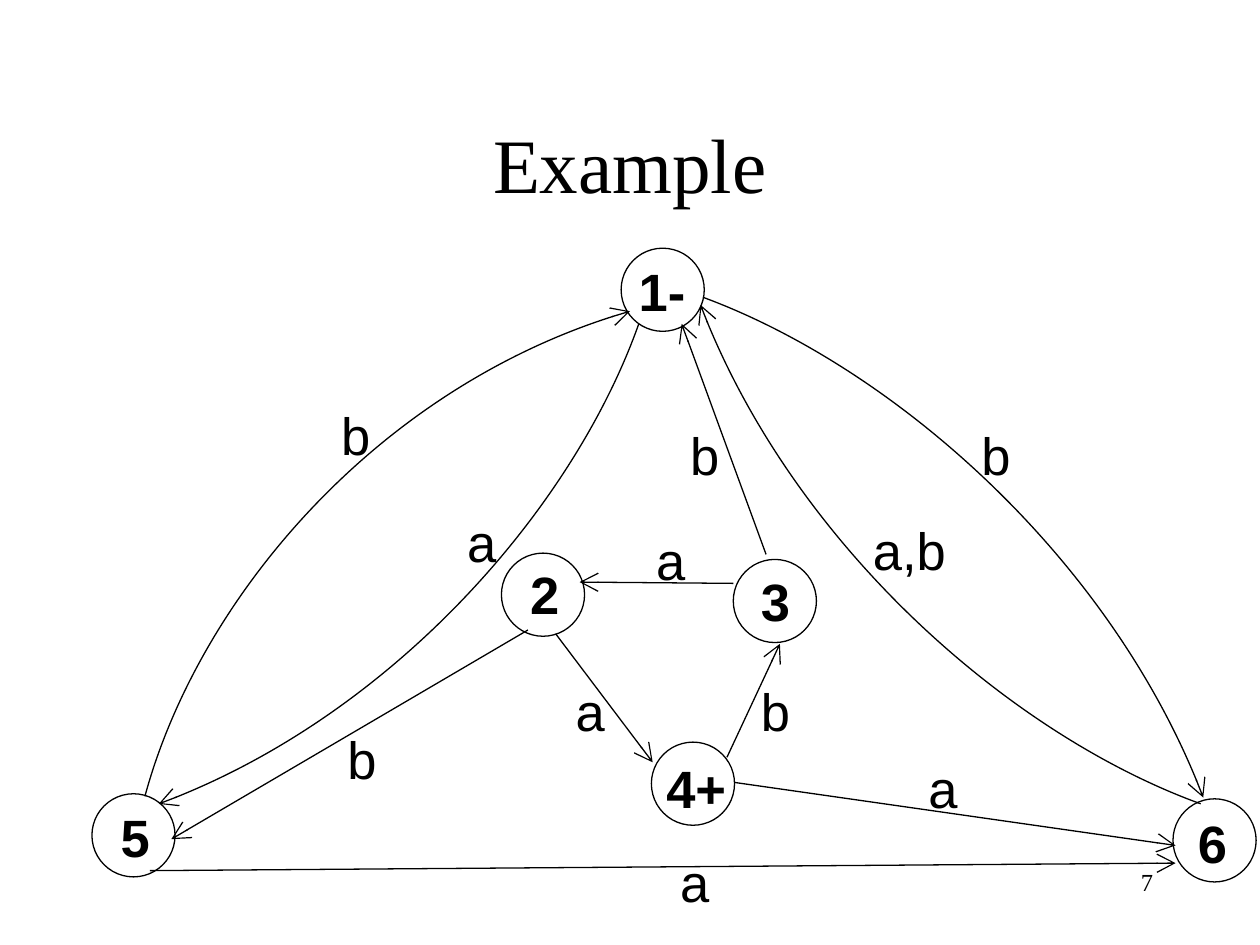
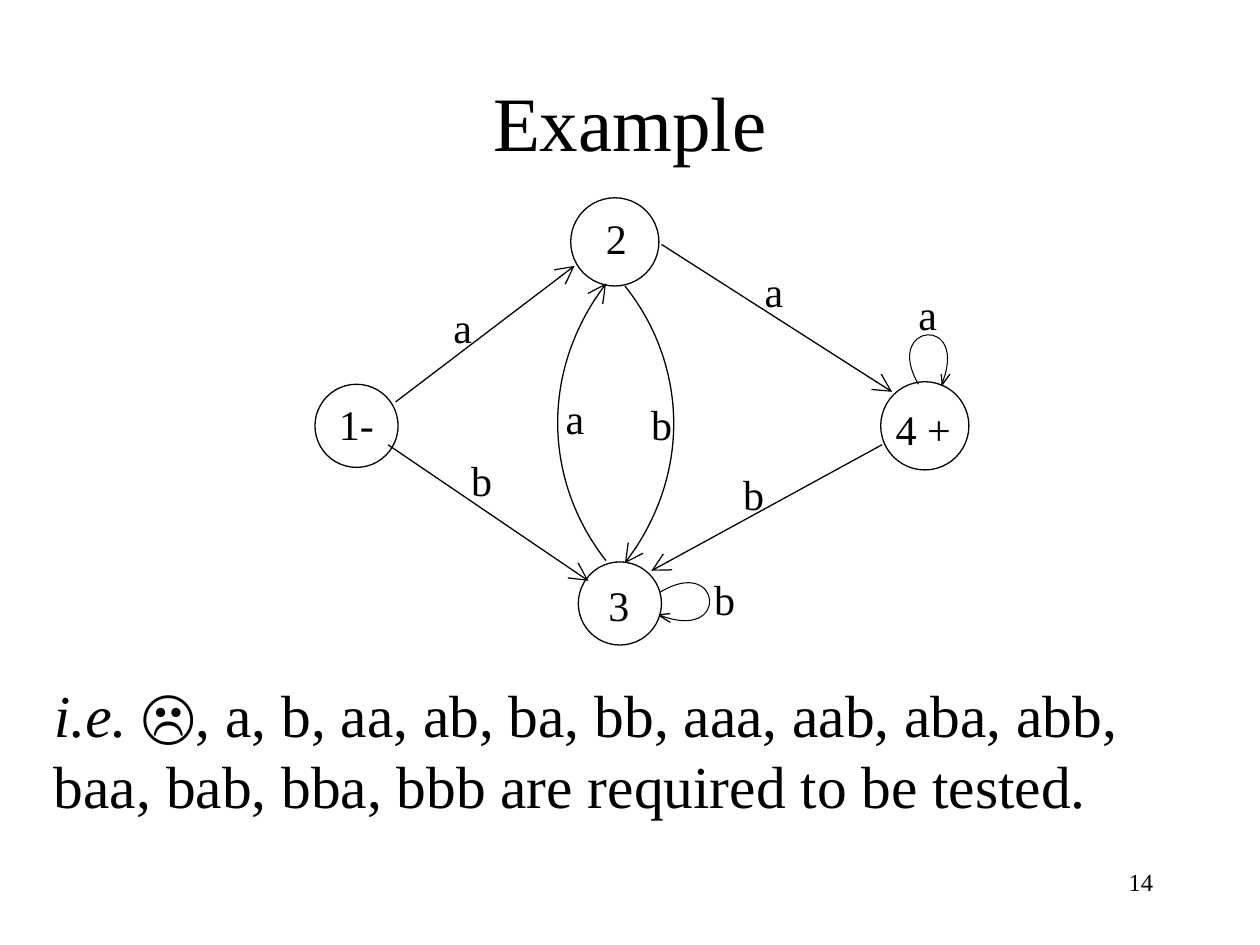
import dataclasses

import lxml.etree
import pptx
import pptx.dml.color
import pptx.enum.shapes
import pptx.enum.text
import pptx.oxml.ns
import pptx.util

Inches = pptx.util.Inches
Align = pptx.enum.text.PP_ALIGN
qn = pptx.oxml.ns.qn


@dataclasses.dataclass(frozen=True)
class Theme:
    ink: object = pptx.dml.color.RGBColor(0, 0, 0)
    paper: object = pptx.dml.color.RGBColor(255, 255, 255)
    serif: str = "Times New Roman"
    sans: str = "Arial"
    symbol: str = "Cambria"
    title: int = 44
    body: int = 34
    number: int = 14
    line: float = 0.75
    loop_line: float = 0.6


theme = Theme()


def write(frame, spans, size, align=Align.LEFT):
    """Fill the frame's first paragraph; each span is (text, font, bold, italic)."""
    para = frame.paragraphs[0]
    para.alignment = align
    for text, font, bold, italic in spans:
        span = para.add_run()
        span.text = text
        span.font.name = font
        span.font.size = pptx.util.Pt(size)
        span.font.bold = bold
        span.font.italic = italic
        span.font.color.rgb = theme.ink


def draw_edge(page, points, arrow=True, width=theme.line):
    """Two points give a straight line, four a cubic Bezier curve."""
    if len(points) == 2:
        (x1, y1), (x2, y2) = points
        edge = page.shapes.add_connector(
            pptx.enum.shapes.MSO_CONNECTOR.STRAIGHT,
            Inches(x1), Inches(y1), Inches(x2), Inches(y2))
    else:
        emu = [(Inches(x), Inches(y)) for x, y in points]
        builder = page.shapes.build_freeform(*emu[0])
        builder.add_line_segments(emu[1:], close=False)
        edge = builder.convert_to_shape()
        edge.fill.background()
        # Turn the three straight segments into one Bezier segment.
        outline = next(edge.element.iter(qn("a:path")))
        bezier = lxml.etree.SubElement(outline, qn("a:cubicBezTo"))
        for segment in outline.findall(qn("a:lnTo")):
            bezier.append(segment[0])
            outline.remove(segment)
    edge.line.color.rgb = theme.ink
    edge.line.width = pptx.util.Pt(width)
    properties = edge.element.spPr
    if arrow:
        lxml.etree.SubElement(properties.find(qn("a:ln")), qn("a:tailEnd"),
                              type="arrow", w="lg", len="lg")
    lxml.etree.SubElement(properties, qn("a:effectLst"))


# Nodes: left, top, diameter. Names and labels: text, left, top.
slides = [
    dict(
        title_top=0.67, number="7", font=theme.sans, size=30, bold=True,
        label_box=(1.17, 0.6),
        nodes=[(4.93, 1.97, 0.66), (3.98, 4.39, 0.66), (5.82, 4.44, 0.66),
               (5.17, 5.89, 0.66), (0.73, 6.3, 0.66), (9.31, 6.34, 0.66)],
        names=[("1-", 4.97, 2.01), ("2", 4.11, 4.41), ("3", 5.94, 4.47),
               ("4+", 5.19, 5.95), ("5", 0.86, 6.34), ("6", 9.41, 6.39)],
        edges=[[(5.82, 4.63), (4.6, 4.62)],
               [(4.41, 5.03), (5.18, 6.05)],
               [(5.77, 6.01), (6.19, 5.11)],
               [(5.83, 6.21), (9.33, 6.71)],
               [(1.19, 6.91), (9.33, 6.85)],
               [(6.08, 4.4), (5.41, 2.57)],
               [(5.07, 2.57), (4.56, 4.01), (3.1, 5.7), (1.26, 6.38)],
               [(1.15, 6.32), (1.57, 4.77), (3.02, 3.04), (5, 2.47)],
               [(9.53, 6.38), (8.04, 5.84), (6.28, 4.31), (5.56, 2.42)],
               [(5.58, 2.36), (7.07, 2.91), (8.83, 4.44), (9.55, 6.33)],
               [(4.19, 5), (1.36, 6.66)]],
        loops=[], loop_heads=[],
        labels=[("a", 5.3, 6.7), ("a", 3.61, 4), ("a", 5.11, 4.14),
                ("a", 4.47, 5.34), ("a", 7.27, 5.95), ("b", 2.61, 3.15),
                ("b", 5.38, 3.31), ("b", 7.69, 3.31), ("b", 5.94, 5.34),
                ("a,b", 6.83, 4.06), ("b", 2.66, 5.72)],
        body=[],
    ),
    dict(
        title_top=0.33, number="14", font=theme.serif, size=24, bold=False,
        label_box=(0.78, 0.5),
        nodes=[(2.5, 3.05, 0.66), (4.53, 1.57, 0.7),
               (4.59, 4.46, 0.66), (6.99, 3.03, 0.7)],
        names=[("1-", 2.59, 3.11), ("2", 4.71, 1.64),
               ("3", 4.73, 4.55), ("4 +", 7.01, 3.15)],
        edges=[[(5.25, 1.94), (7.08, 3.11)],
               [(3.14, 3.19), (4.56, 2.11)],
               [(3.08, 3.53), (4.67, 4.61)],
               [(7, 3.53), (5.17, 4.53)],
               [(4.81, 4.45), (4.36, 3.88), (4.26, 2.97), (4.81, 2.25)],
               [(4.96, 2.27), (5.41, 2.83), (5.52, 3.74), (4.96, 4.47)]],
        loops=[[(5.24, 4.7), (5.73, 4.4), (5.8, 5.11), (5.23, 4.88)],
               [(7.29, 3.05), (7, 2.56), (7.71, 2.49), (7.47, 3.06)]],
        loop_heads=[[(5.24, 4.89), (5.32, 4.94)], [(5.32, 4.87), (5.23, 4.88)],
                    [(7.48, 3.05), (7.54, 2.97)], [(7.47, 2.97), (7.48, 3.06)]],
        labels=[("a", 4.39, 3.07), ("a", 5.97, 2.06), ("a", 7.19, 2.24),
                ("b", 3.64, 3.56), ("a", 3.5, 2.34), ("b", 5.07, 3.11),
                ("b", 5.57, 4.5), ("b", 5.8, 3.67)],
        body=[("i.e. ", theme.serif, False, True),
              ("☹", theme.symbol, False, False),
              (", a, b, aa, ab, ba, bb, aaa, aab, aba, abb, baa, bab, bba, bbb "
               "are required to be tested.", theme.serif, False, False)],
    ),
]

deck = pptx.Presentation()
deck.slide_width, deck.slide_height = Inches(10), Inches(7.5)
title_only = deck.slide_layouts[5]

for content in slides:
    page = deck.slides.add_slide(title_only)
    title = page.shapes.title
    title.left, title.top = Inches(0.75), Inches(content["title_top"])
    title.width, title.height = Inches(8.5), Inches(1.25)
    title.text_frame.vertical_anchor = pptx.enum.text.MSO_ANCHOR.MIDDLE
    write(title.text_frame, [("Example", theme.serif, False, False)],
          theme.title, Align.CENTER)

    for left, top, diameter in content["nodes"]:
        node = page.shapes.add_shape(
            pptx.enum.shapes.MSO_SHAPE.OVAL,
            Inches(left), Inches(top), Inches(diameter), Inches(diameter))
        node.shadow.inherit = False
        node.fill.solid()
        node.fill.fore_color.rgb = theme.paper
        node.line.color.rgb = theme.ink
        node.line.width = pptx.util.Pt(theme.line)

    for points in content["edges"]:
        draw_edge(page, points)
    for points in content["loops"]:
        draw_edge(page, points, arrow=False, width=theme.loop_line)
    for points in content["loop_heads"]:
        draw_edge(page, points, arrow=False)

    # Text boxes: spans, size, alignment, (left, top, width, height)
    texts = [([(text, content["font"], bold, False)], content["size"], Align.LEFT,
              (left, top, *content["label_box"]))
             for group, bold in (("names", content["bold"]), ("labels", False))
             for text, left, top in content[group]]
    if content["body"]:
        texts.append((content["body"], theme.body, Align.LEFT, (0.33, 5.33, 9.42, 1.24)))
    texts.append(([(content["number"], theme.serif, False, False)],
                  theme.number, Align.RIGHT, (7.17, 6.83, 2.08, 0.5)))
    for spans, size, align, place in texts:
        box = page.shapes.add_textbox(*map(Inches, place))
        box.text_frame.word_wrap = True
        write(box.text_frame, spans, size, align)

deck.save("out.pptx")
